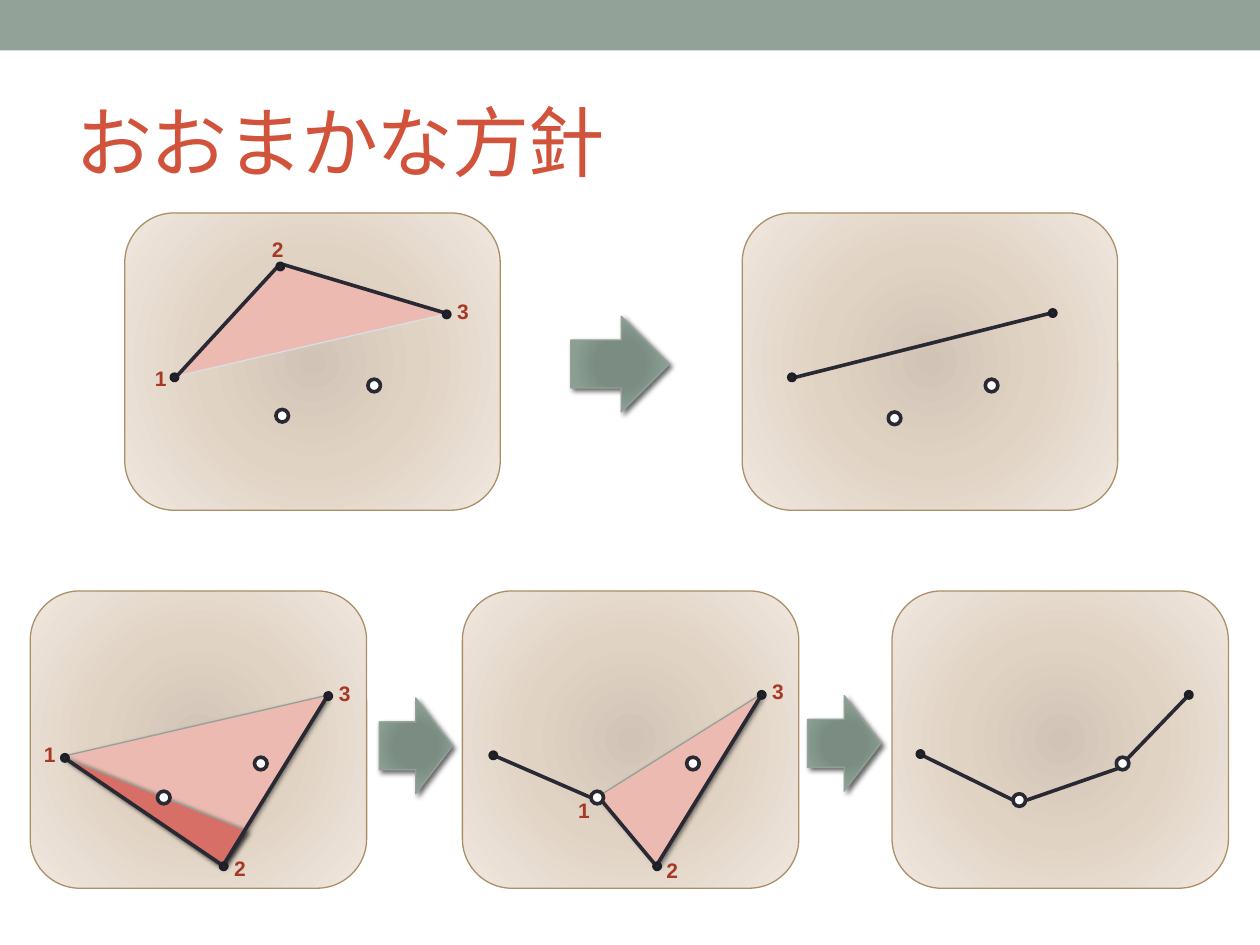
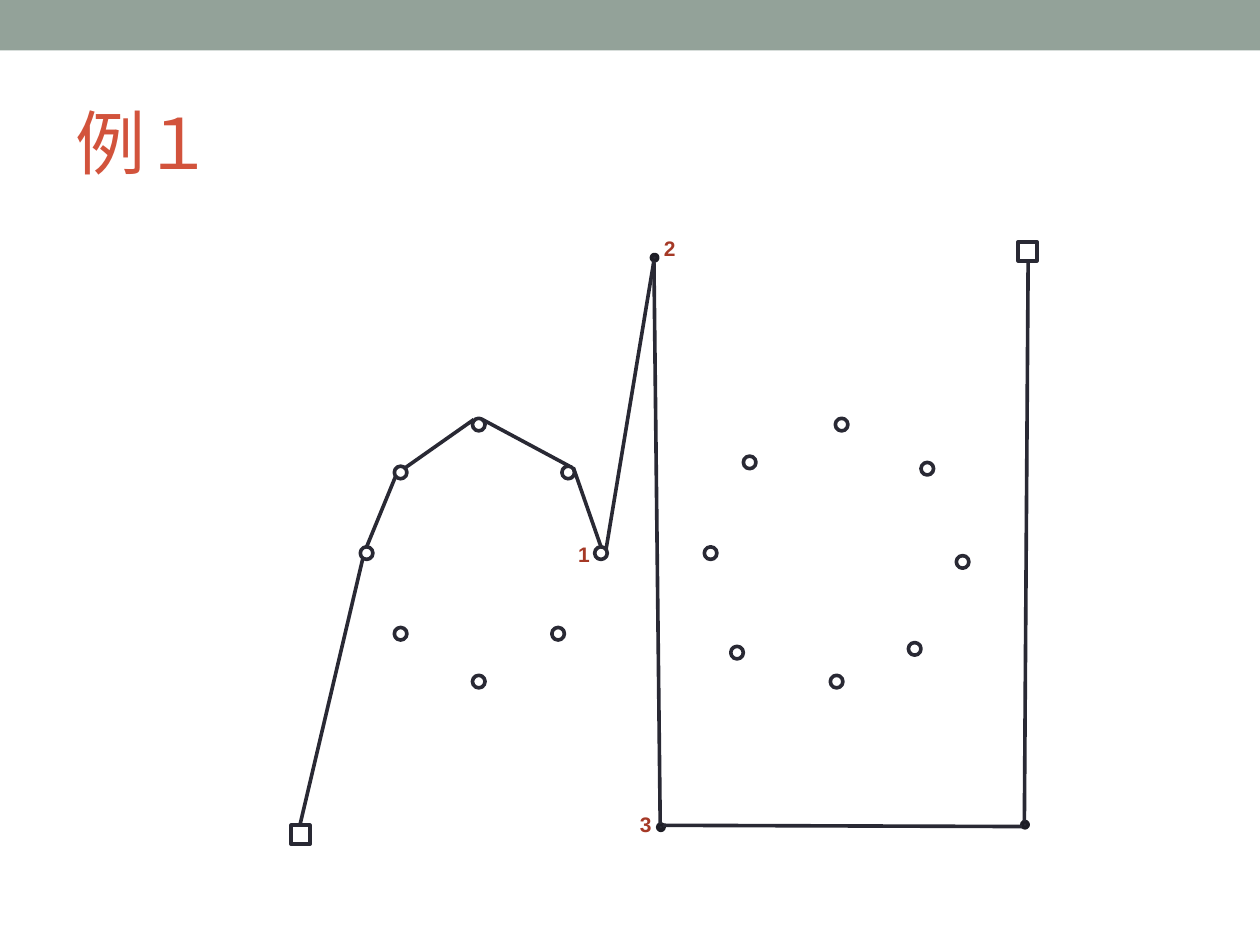
import pptx
import pptx.util
import pptx.dml.color
import pptx.enum.shapes
import pptx.enum.text
import pptx.oxml
import pptx.oxml.ns
from lxml import etree

Pt = pptx.util.Pt
SHAPE = pptx.enum.shapes.MSO_SHAPE
ANCHOR = pptx.enum.text.MSO_ANCHOR
AUTO = pptx.enum.text.MSO_AUTO_SIZE
ALIGN = pptx.enum.text.PP_ALIGN
qn = pptx.oxml.ns.qn

COLORS = {
    "band": "93A299",
    "title": "D2533C",
    "label": "A53926",
    "ink": "292934",
    "dot_edge": "1E1E26",
    "white": "FFFFFF",
    "panel_edge": "AD8F67",
    "pink": "EDBAB1",
    "red": "D76F66",
    "pale_edge": "D9DEE4",
}
PANEL_STOPS = [(0, "D1C4B6"), (45, "E1D3C4"), (100, "EFE7DF")]
ARROW_STOPS = [(0, "7B8E82"), (34, "7B8D83"), (70, "8A9E92"), (100, "93A299")]
FONT = "Arial"
STROKE = 2.08
THIN = 0.75
RING, DOT, SQUARE = 0.1, 0.05, 0.15


def inch(value):
    return pptx.util.Cm(value * 2.54)


def rgb(name):
    return pptx.dml.color.RGBColor.from_string(COLORS[name])


def write(tf, text, size=12, color="label", bold=False, spacing=None):
    p = tf.paragraphs[0]
    p.alignment = ALIGN.LEFT
    r = p.add_run()
    r.text = text
    r.font.name = FONT
    r.font.size = Pt(size)
    r.font.bold = bold
    r.font.color.rgb = rgb(color)
    if spacing is not None:
        r.font._element.set("spc", str(spacing * 100))


def paint(sp, fill, edge=None, width=STROKE):
    sp.shadow.inherit = False
    sp.fill.solid()
    sp.fill.fore_color.rgb = rgb(fill)
    if edge:
        sp.line.color.rgb = rgb(edge)
        sp.line.width = Pt(width)
    else:
        sp.line.fill.background()


def add_radial(sp, stops):
    grad = etree.Element(qn("a:gradFill"), rotWithShape="1")
    gs_list = etree.SubElement(grad, qn("a:gsLst"))
    for pos, color in stops:
        gs = etree.SubElement(gs_list, qn("a:gs"), pos=str(pos * 1000))
        etree.SubElement(gs, qn("a:srgbClr"), val=color)
    radial = etree.SubElement(grad, qn("a:path"), path="circle")
    etree.SubElement(radial, qn("a:fillToRect"), {side: "100000" for side in "ltrb"})
    spPr = sp.element.spPr
    spPr.replace(spPr.find(qn("a:solidFill")), grad)


def add_shadow(sp):
    effects = sp.element.spPr.find(qn("a:effectLst"))
    shadow = etree.SubElement(effects, qn("a:outerShdw"), blurRad=str(Pt(3)),
                              dist=str(Pt(2)), dir=str(45 * 60000), rotWithShape="0")
    color = etree.SubElement(shadow, qn("a:srgbClr"), val="000000")
    etree.SubElement(color, qn("a:alpha"), val="60000")


def add_preset(s, kind, x, y, w, h):
    return s.shapes.add_shape(kind, inch(x), inch(y), inch(w), inch(h))


def add_panel(s, x, y, w, h=2.36):
    sp = add_preset(s, SHAPE.ROUNDED_RECTANGLE, x, y, w, h)
    paint(sp, "white", "panel_edge", THIN)
    add_radial(sp, PANEL_STOPS)


def add_arrow(s, x, y, w, h=0.76):
    sp = add_preset(s, SHAPE.RIGHT_ARROW, x, y, w, h)
    paint(sp, "band", "band", THIN)
    add_radial(sp, ARROW_STOPS)
    add_shadow(sp)


def add_polygon(s, points, fill, edge="band", shadow=True):
    points = [(inch(x), inch(y)) for x, y in points]
    builder = s.shapes.build_freeform(*points[0])
    builder.add_line_segments(points[1:], close=True)
    sp = builder.convert_to_shape()
    paint(sp, fill, edge, THIN)
    if shadow:
        add_shadow(sp)


def add_marks(s, kind, size, points, fill="white", edge="ink"):
    for x, y in points:
        paint(add_preset(s, kind, x, y, size, size), fill, edge)


def add_rings(s, points):
    add_marks(s, SHAPE.OVAL, RING, points)


def add_dots(s, points):
    add_marks(s, SHAPE.OVAL, DOT, points, "ink", "dot_edge")


def add_lines(s, lines):
    for x1, y1, x2, y2 in lines:
        line = s.shapes.add_connector(pptx.enum.shapes.MSO_CONNECTOR.STRAIGHT,
                                      inch(x1), inch(y1), inch(x2), inch(y2))
        line.line.color.rgb = rgb("ink")
        line.line.width = Pt(STROKE)
        etree.SubElement(line.element.spPr, qn("a:effectLst"))


def add_labels(s, labels):
    for text, x, y in labels:
        tf = s.shapes.add_textbox(inch(x), inch(y), inch(0.25), inch(0.3)).text_frame
        tf.word_wrap = True
        tf.margin_right = 0
        tf.auto_size = AUTO.SHAPE_TO_FIT_TEXT
        write(tf, text, bold=True)


def add_slide(prs, title, size):
    s = prs.slides.add_slide(prs.slide_layouts[5])
    sp = s.shapes.title
    sp.left, sp.top, sp.width, sp.height = map(inch, (0.5, 0.58, 9, 1.08))
    tf = sp.text_frame
    tf.word_wrap = True
    tf.auto_size = AUTO.NONE
    tf.vertical_anchor = ANCHOR.MIDDLE
    write(tf, title, size=size, color="title", spacing=-1)
    return s


def add_master_band(prs, s):
    band = add_preset(s, SHAPE.RECTANGLE, 0, 0, 10, 0.4)
    paint(band, "band")
    prs.slide_master.shapes.element.insert(2, band.element)


def build_policy(prs):
    s = add_slide(prs, "おおまかな方針", 44)
    add_master_band(prs, s)
    for x in (0.99, 5.89):
        add_panel(s, x, 1.69, 2.98)
    for x in (0.24, 3.67, 7.08):
        add_panel(s, x, 4.69, 2.67)
    add_polygon(s, [(1.38, 2.99), (2.23, 2.1), (3.55, 2.49)], "pink", "pale_edge", False)
    add_polygon(s, [(4.75, 6.32), (5.21, 6.86), (6.04, 5.51)], "pink")
    add_polygon(s, [(0.51, 6), (2.59, 5.52), (1.76, 6.87)], "pink")
    add_polygon(s, [(0.51, 6.01), (1.95, 6.59), (1.76, 6.86)], "red")
    add_lines(s, [
        (1.39, 3, 2.2, 2.12), (2.25, 2.1, 3.52, 2.48),
        (6.29, 3, 8.36, 2.48),
        (0.49, 6, 1.77, 6.87), (1.77, 6.87, 2.62, 5.49),
        (3.93, 6, 4.69, 6.33), (4.78, 6.36, 5.19, 6.85), (5.21, 6.87, 6.06, 5.49),
        (7.33, 6, 8.04, 6.35), (8.15, 6.35, 8.87, 6.1), (8.94, 6.03, 9.46, 5.49),
    ])
    add_rings(s, [
        (2.19, 3.25), (2.92, 3.01),
        (7.05, 3.27), (7.82, 3.01),
        (1.25, 6.28), (2.02, 6.01),
        (4.69, 6.28), (5.45, 6.01),
        (8.04, 6.3), (8.86, 6.01),
    ])
    add_dots(s, [
        (1.36, 2.97), (2.2, 2.09), (3.52, 2.47),
        (6.26, 2.97), (8.33, 2.46),
        (0.49, 5.99), (1.75, 6.85), (2.58, 5.5),
        (3.89, 5.97), (5.19, 6.85), (6.02, 5.49),
        (7.28, 5.96), (9.41, 5.49),
    ])
    add_arrow(s, 4.53, 2.51, 0.78)
    add_arrow(s, 3.01, 5.54, 0.58)
    add_arrow(s, 6.41, 5.52, 0.58)
    add_labels(s, [
        ("1", 1.13, 2.85), ("1", 0.25, 5.84), ("1", 4.49, 6.28),
        ("2", 2.06, 1.83), ("2", 1.76, 6.74), ("2", 5.19, 6.76),
        ("3", 3.53, 2.32), ("3", 2.59, 5.35), ("3", 6.03, 5.34),
    ])


def build_example(prs):
    s = add_slide(prs, "例１", 40)
    left_ring = [(3.75, 5.36), (3.75, 3.32), (2.86, 4.34), (4.72, 4.34),
                 (4.38, 4.98), (3.13, 4.98), (3.13, 3.7), (4.46, 3.7)]
    right_ring = [(5.59, 4.34), (7.59, 4.41), (6.63, 3.32), (6.59, 5.36),
                  (5.8, 5.13), (7.21, 5.1), (7.31, 3.67), (5.9, 3.62)]
    add_rings(s, left_ring + right_ring)
    add_dots(s, [(5.17, 2.02), (5.22, 6.54), (8.11, 6.52)])
    add_marks(s, SHAPE.RECTANGLE, SQUARE, [(2.31, 6.55), (8.08, 1.92)])
    add_lines(s, [
        (2.88, 4.43, 2.38, 6.55), (2.91, 4.34, 3.14, 3.78),
        (3.22, 3.71, 3.76, 3.33), (3.83, 3.33, 4.52, 3.7),
        (4.55, 3.71, 4.77, 4.34), (4.81, 4.36, 5.19, 2.07),
        (5.19, 2.07, 5.24, 6.54), (5.26, 6.55, 8.11, 6.56),
        (8.16, 2.07, 8.13, 6.52),
    ])
    add_labels(s, [("1", 4.49, 4.25), ("3", 4.98, 6.39), ("2", 5.17, 1.82)])


def main():
    prs = pptx.Presentation()
    prs.slide_width, prs.slide_height = inch(10), inch(7.5)
    build_policy(prs)
    build_example(prs)
    prs.save("out.pptx")


main()
